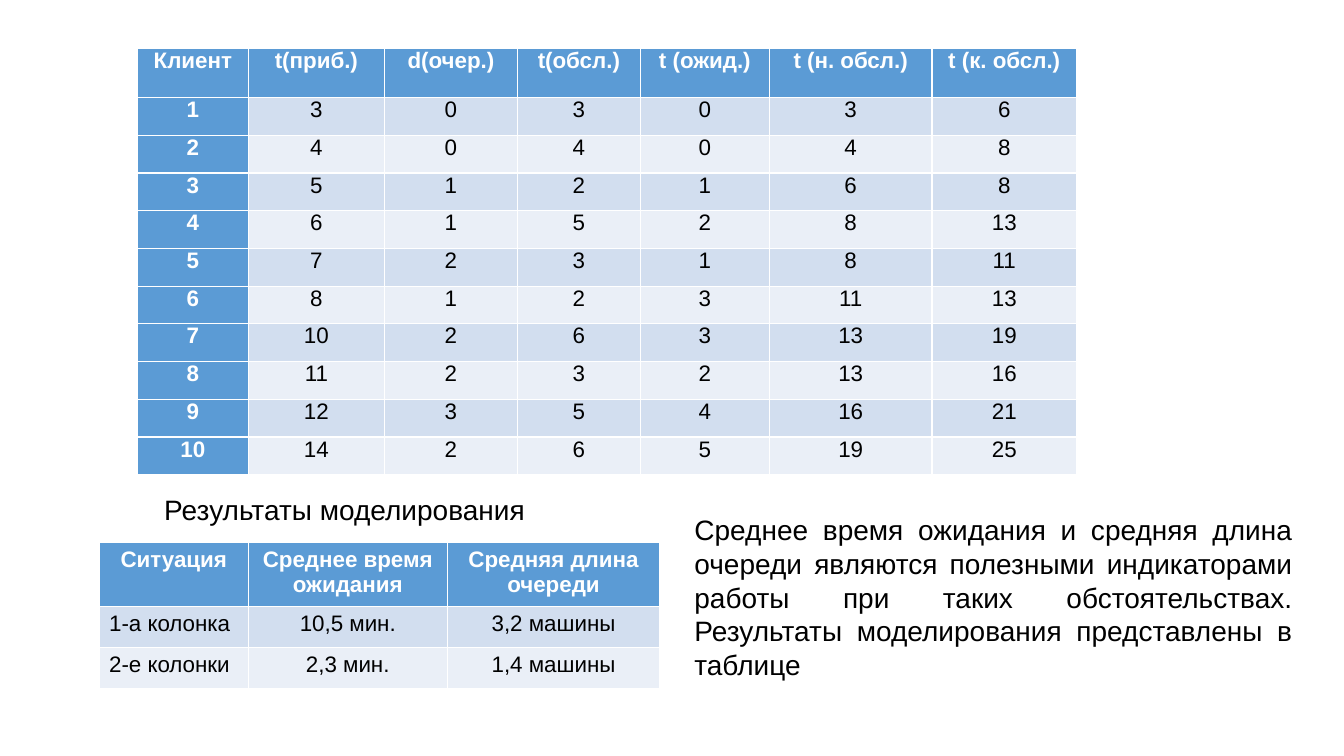
from pptx import Presentation
from pptx.dml.color import RGBColor
from pptx.enum import text
from pptx.util import Cm, Pt

WHITE = RGBColor(0xFF, 0xFF, 0xFF)
BLACK = RGBColor(0x00, 0x00, 0x00)
BLUE = RGBColor(0x5B, 0x9B, 0xD5)
BANDS = [RGBColor(0xEA, 0xEF, 0xF7), RGBColor(0xD2, 0xDE, 0xEF)]

LEFT, CENTER, JUSTIFY = text.PP_ALIGN.LEFT, text.PP_ALIGN.CENTER, text.PP_ALIGN.JUSTIFY


def write(frame, content, size, color, align, bold=False):
    """Fill a text frame with one formatted paragraph."""
    paragraph = frame.paragraphs[0]
    paragraph.text = content
    paragraph.alignment = align
    paragraph.font.name = "Arial"
    paragraph.font.size = Pt(size)
    paragraph.font.bold = bold
    paragraph.font.color.rgb = color


def add_banded_table(rows, left, top, widths, header_height, row_height,
                     label_column, margins):
    """Add a table with a blue header; label_column makes the first column blue too."""
    heights = [header_height] + [row_height] * (len(rows) - 1)
    table = slide.shapes.add_table(
        len(rows), len(widths), Cm(left), Cm(top), Cm(sum(widths)), Cm(sum(heights))
    ).table
    table.first_col = label_column
    for column, width in zip(table.columns, widths):
        column.width = Cm(width)
    for i, values in enumerate(rows):
        table.rows[i].height = Cm(heights[i])
        for j, value in enumerate(values):
            cell = table.cell(i, j)
            side, vertical = margins
            cell.margin_left = cell.margin_right = Cm(side)
            cell.margin_top = cell.margin_bottom = Cm(vertical)
            strong = i == 0 or (label_column and j == 0)
            cell.fill.solid()
            cell.fill.fore_color.rgb = BLUE if strong else BANDS[i % 2]
            align = LEFT if j == 0 and not strong else CENTER
            write(cell.text_frame, str(value), 16, WHITE if strong else BLACK,
                  align, strong)


presentation = Presentation()
presentation.slide_width = Cm(33.87)
presentation.slide_height = Cm(19.05)
slide = presentation.slides.add_slide(presentation.slide_layouts[6])

clients = [
    ["Клиент", "t(приб.)", "d(очер.)", "t(обсл.)", "t (ожид.)", "t (н. обсл.)", "t (к. обсл.)"],
    [1, 3, 0, 3, 0, 3, 6],
    [2, 4, 0, 4, 0, 4, 8],
    [3, 5, 1, 2, 1, 6, 8],
    [4, 6, 1, 5, 2, 8, 13],
    [5, 7, 2, 3, 1, 8, 11],
    [6, 8, 1, 2, 3, 11, 13],
    [7, 10, 2, 6, 3, 13, 19],
    [8, 11, 2, 3, 2, 13, 16],
    [9, 12, 3, 5, 4, 16, 21],
    [10, 14, 2, 6, 5, 19, 25],
]
add_banded_table(clients, 3.46, 1.22, [2.8, 3.43, 3.35, 3.1, 3.25, 4.1, 3.64],
                 1.24, 0.95, True, (0.19, 0))

results = [
    ["Ситуация", "Среднее время ожидания", "Средняя длина очереди"],
    ["1-а колонка", "10,5 мин.", "3,2 машины"],
    ["2-е колонки", "2,3 мин.", "1,4 машины"],
]
add_banded_table(results, 2.5, 13.67, [3.76, 5.01, 5.36], 1.61, 1.03, False, (0.25, 0.13))

conclusion = slide.shapes.add_textbox(Cm(17.25), Cm(12.8), Cm(15.57), Cm(4.52))
conclusion.text_frame.word_wrap = True
write(
    conclusion.text_frame,
    "Среднее время ожидания и средняя длина очереди являются полезными "
    "индикаторами работы при таких обстоятельствах. Результаты моделирования "
    "представлены в таблице",
    20, BLACK, JUSTIFY,
)

caption = slide.shapes.add_textbox(Cm(3.89), Cm(12.29), Cm(9.86), Cm(1.12))
caption.text_frame.word_wrap = False
write(caption.text_frame, "Результаты моделирования", 20, BLACK, LEFT)

presentation.save("out.pptx")
